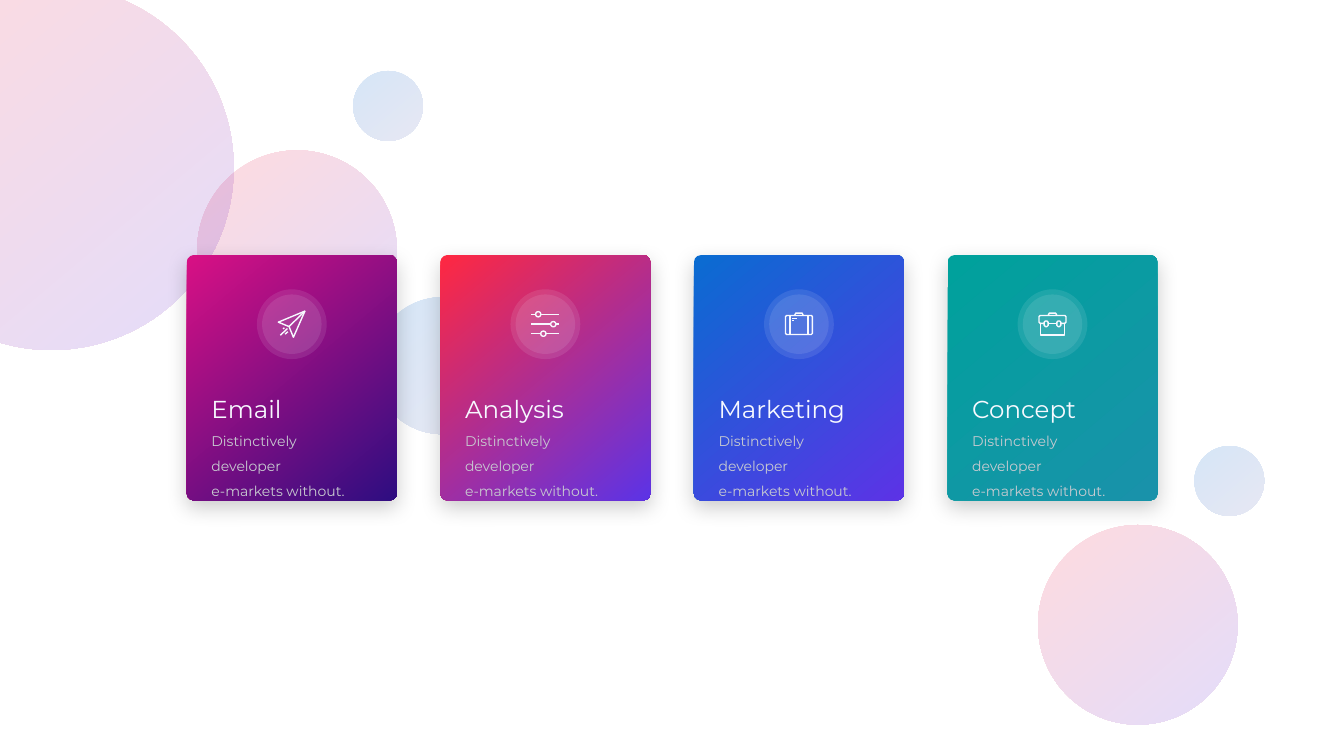
import math
from dataclasses import dataclass
from typing import Any

import lxml.etree
import pptx
import pptx.dml.color
import pptx.enum.shapes
import pptx.enum.text
import pptx.oxml.ns
import pptx.util

Cm = pptx.util.Cm
Pt = pptx.util.Pt
qn = pptx.oxml.ns.qn
Preset = pptx.enum.shapes.MSO_SHAPE

WHITE = "F7F9FF"
MUTED = "C8CBD1"
ROSE = ("FF2841", "5C33E6")
SKY = ("0A6CD1", "7474BA")
CARD_LEFT, CARD_TOP, CARD_PITCH = 4.71, 6.43, 6.39
CARD_WIDTH, CARD_HEIGHT = 5.29, 6.18
BADGE_CENTRE_Y = 8.17
BADGE_DIAMETERS = (1.76, 1.5)


@dataclass(frozen=True)
class Bubble:
    left: float
    top: float
    diameter: float
    colours: tuple[str, str]


@dataclass(frozen=True)
class Stroke:
    points: tuple[tuple[float, float], ...]
    closed: bool = False


@dataclass(frozen=True)
class Card:
    title: str
    colours: tuple[str, str]
    icon: tuple[Stroke, ...]


def ring(x: float, y: float, width: float, height: float) -> Stroke:
    angles = [math.tau * step / 24 for step in range(24)]
    points = tuple((x + width / 2 * math.cos(a), y + height / 2 * math.sin(a)) for a in angles)
    return Stroke(points, closed=True)


def chamfered_box(left: float, top: float, right: float, bottom: float, cut: float = 0.03) -> Stroke:
    return Stroke((
        (left + cut, top), (right - cut, top), (right, top + cut), (right, bottom - cut),
        (right - cut, bottom), (left + cut, bottom), (left, bottom - cut), (left, top + cut),
    ), closed=True)


BUBBLES_BEHIND = (
    Bubble(9.42, 7.49, 3.45, SKY),
    Bubble(4.97, 3.79, 5.03, ROSE),
    Bubble(-3.3, -0.37, 9.19, ROSE),
    Bubble(8.9, 1.79, 1.76, SKY),
)
BUBBLES_IN_FRONT = (
    Bubble(26.16, 13.23, 5.03, ROSE),
    Bubble(30.1, 11.24, 1.76, SKY),
)

HANDLE = Stroke(((-0.11, -0.22), (-0.08, -0.28), (0.08, -0.28), (0.11, -0.22)))
PAPER_PLANE = (
    Stroke(((0.33, -0.33), (-0.34, -0.05), (-0.07, 0.06), (0.04, 0.33)), closed=True),
    Stroke(((0.33, -0.33), (-0.07, 0.06))),
    Stroke(((-0.11, 0.11), (-0.29, 0.28))),
    Stroke(((-0.1, 0.19), (-0.17, 0.25))),
    Stroke(((-0.19, 0.09), (-0.22, 0.12))),
)
SLIDERS = tuple(
    part
    for knob, y in ((-0.18, -0.25), (0.2, 0), (-0.05, 0.24))
    for part in (
        Stroke(((-0.35, y), (knob - 0.07, y))),
        ring(knob, y, 0.13, 0.13),
        Stroke(((knob + 0.07, y), (0.35, y))),
    )
)
SUITCASE = (
    chamfered_box(-0.34, -0.22, 0.34, 0.26),
    HANDLE,
    Stroke(((-0.23, -0.22), (-0.23, 0.26))),
    Stroke(((0.23, -0.22), (0.23, 0.26))),
    Stroke(((-0.17, -0.15), (-0.06, -0.15))),
    Stroke(((-0.17, -0.09), (-0.12, -0.09))),
)
BRIEFCASE = (
    HANDLE,
    Stroke(((-0.21, -0.02), (-0.31, -0.02), (-0.34, -0.05), (-0.34, -0.19), (-0.31, -0.22),
            (0.31, -0.22), (0.34, -0.19), (0.34, -0.05), (0.31, -0.02), (0.21, -0.02))),
    Stroke(((-0.11, -0.02), (0.11, -0.02))),
    Stroke(((-0.31, -0.02), (-0.31, 0.27), (0.31, 0.27), (0.31, -0.02))),
    chamfered_box(-0.21, -0.08, -0.11, 0.06),
    chamfered_box(0.11, -0.08, 0.21, 0.06),
)

CARDS = (
    Card("Email", ("D91084", "2E0D81"), PAPER_PLANE),
    Card("Analysis", ROSE, SLIDERS),
    Card("Marketing", ("0A6CD1", "5C33E6"), SUITCASE),
    Card("Concept", ("00A19C", "1992AA"), BRIEFCASE),
)


def colour(value: str) -> pptx.dml.color.RGBColor:
    return pptx.dml.color.RGBColor.from_string(value)


def set_opacity(shape: Any, percent: int) -> None:
    for rgb in shape._element.spPr.iter(qn("a:srgbClr")):
        lxml.etree.SubElement(rgb, qn("a:alpha"), val=str(percent * 1000))


def add_preset(shapes: Any, preset: Any, left: float, top: float, width: float, height: float) -> Any:
    shape = shapes.add_shape(preset, Cm(left), Cm(top), Cm(width), Cm(height))
    shape.shadow.inherit = False
    shape.line.fill.background()
    return shape


def fill_gradient(shape: Any, colours: tuple[str, str]) -> None:
    shape.fill.gradient()
    shape.fill.gradient_angle = 310
    for stop, value in zip(shape.fill.gradient_stops, colours):
        stop.color.rgb = colour(value)


def draw_bubble(shapes: Any, bubble: Bubble) -> None:
    disc = add_preset(shapes, Preset.OVAL, bubble.left, bubble.top, bubble.diameter, bubble.diameter)
    fill_gradient(disc, bubble.colours)
    set_opacity(disc, 16)


def cast_shadow(shape: Any) -> None:
    effects = shape._element.spPr.find(qn("a:effectLst"))
    shadow = lxml.etree.SubElement(
        effects, qn("a:outerShdw"), blurRad=str(Pt(15)), dist=str(Pt(5)),
        dir="5400000", algn="t", rotWithShape="0",
    )
    black = lxml.etree.SubElement(shadow, qn("a:srgbClr"), val="000000")
    lxml.etree.SubElement(black, qn("a:alpha"), val="20000")


def draw_icon(shapes: Any, icon: tuple[Stroke, ...], x: float, y: float) -> None:
    builder = None
    for stroke in icon:
        start, *rest = [(Cm(x + dx), Cm(y + dy)) for dx, dy in stroke.points]
        if builder is None:
            builder = shapes.build_freeform(*start)
        else:
            builder.move_to(*start)
        builder.add_line_segments(rest, close=stroke.closed)
    outline = builder.convert_to_shape()
    outline.shadow.inherit = False
    outline.fill.background()
    outline.line.color.rgb = colour(WHITE)
    outline.line.width = Pt(1)


def draw_badge(shapes: Any, icon: tuple[Stroke, ...], x: float, y: float) -> None:
    badge = shapes.add_group_shape().shapes
    for diameter in BADGE_DIAMETERS:
        disc = add_preset(badge, Preset.OVAL, x - diameter / 2, y - diameter / 2, diameter, diameter)
        disc.fill.solid()
        disc.fill.fore_color.rgb = colour(WHITE)
        set_opacity(disc, 10)
    draw_icon(badge, icon, x, y)


def write(paragraph: Any, text: str, *, size: float, ink: str) -> None:
    paragraph.line_spacing = 1.5
    run = paragraph.add_run()
    run.text = text
    run.font.name = "Montserrat"
    run.font.size = Pt(size)
    run.font.color.rgb = colour(ink)


def draw_card(shapes: Any, card: Card, left: float) -> None:
    panel = add_preset(shapes, Preset.ROUNDED_RECTANGLE, left, CARD_TOP, CARD_WIDTH, CARD_HEIGHT)
    panel.adjustments[0] = 0.033
    fill_gradient(panel, card.colours)
    cast_shadow(panel)
    draw_badge(shapes, card.icon, left + CARD_WIDTH / 2, BADGE_CENTRE_Y)
    caption = shapes.add_textbox(Cm(left + 0.62), Cm(9.57), Cm(3.92), Cm(2.34)).text_frame
    caption.word_wrap = True
    caption.auto_size = pptx.enum.text.MSO_AUTO_SIZE.SHAPE_TO_FIT_TEXT
    caption.margin_left = caption.margin_right = caption.margin_top = caption.margin_bottom = 0
    write(caption.paragraphs[0], card.title, size=17.5, ink=WHITE)
    for text in ("Distinctively developer", "e-markets without."):
        write(caption.add_paragraph(), text, size=10, ink=MUTED)


def main() -> None:
    deck = pptx.Presentation()
    deck.slide_width, deck.slide_height = Cm(33.87), Cm(19.05)
    shapes = deck.slides.add_slide(deck.slide_layouts[6]).shapes
    for bubble in BUBBLES_BEHIND:
        draw_bubble(shapes, bubble)
    for index, card in enumerate(CARDS):
        draw_card(shapes, card, CARD_LEFT + index * CARD_PITCH)
    for bubble in BUBBLES_IN_FRONT:
        draw_bubble(shapes, bubble)
    deck.save("out.pptx")


if __name__ == "__main__":
    main()
